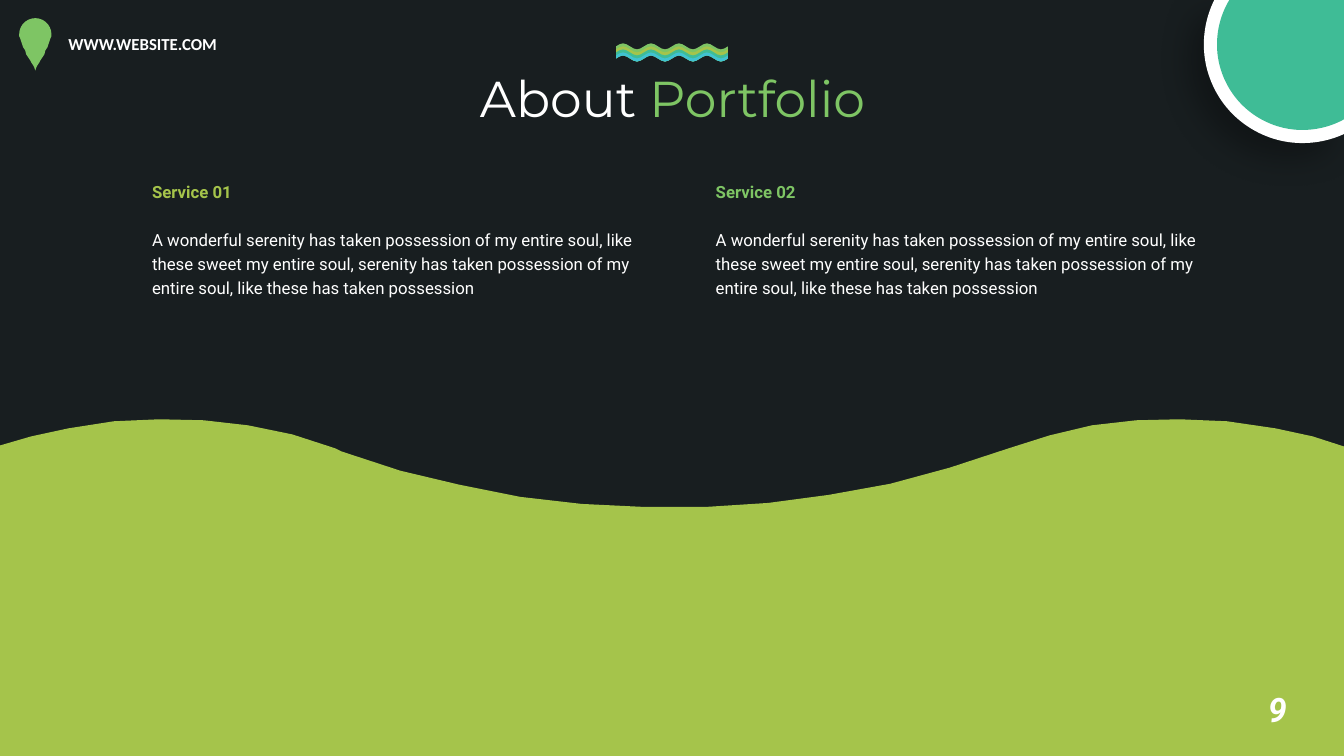
from math import acos, asin, cos, pi, sin

from lxml import etree
from pptx import Presentation
from pptx.dml.color import RGBColor
from pptx.enum.text import MSO_AUTO_SIZE as AutoSize, PP_ALIGN as Align
from pptx.oxml.ns import qn
from pptx.util import Inches, Pt

WIDTH, HEIGHT = 13.33, 7.5
COLORS = {
    "dark": "181E20",
    "lime": "A5C44B",
    "green": "7EC564",
    "teal": "3FBC96",
    "cyan": "40C2D2",
    "white": "FFFFFF",
    "black": "000000",
}
HILLS = [
    (0, 4.42), (0.31, 4.33), (0.68, 4.25), (1.13, 4.18), (1.58, 4.16),
    (2.02, 4.17), (2.46, 4.22), (2.9, 4.31), (3.33, 4.45), (3.39, 4.48),
    (3.97, 4.67), (4.56, 4.81), (5.16, 4.93), (5.77, 5), (6.39, 5.03),
    (7, 5.03), (7.62, 4.99), (8.22, 4.91), (8.83, 4.8), (9.42, 4.64),
    (10, 4.45), (10.41, 4.32), (10.83, 4.22), (11.27, 4.17), (11.7, 4.16),
    (12.17, 4.18), (12.65, 4.25), (13.02, 4.33), (WIDTH, 4.43),
]
PIN_SIDE = [
    (0.16, 0.36), (0.15, 0.38), (0.14, 0.41), (0.13, 0.44), (0.12, 0.47),
    (0.1, 0.5), (0.09, 0.54), (0.07, 0.57), (0.05, 0.6), (0.04, 0.62),
    (0.02, 0.65), (0.01, 0.67), (0, 0.7),
]
SERVICE_TEXT = (
    "A wonderful serenity has taken possession of my entire soul, like these "
    "sweet my entire soul, serenity has taken possession of my entire soul, "
    "like these has taken possession"
)


def rgb(color):
    return RGBColor.from_string(COLORS[color])


def curve_through(locate, slope, stops):
    nodes = [locate(stops[0])]
    for start, end in zip(stops, stops[1:]):
        third = (end - start) / 3
        (x1, y1), (x2, y2) = locate(start), locate(end)
        (dx1, dy1), (dx2, dy2) = slope(start), slope(end)
        nodes.append((
            x1 + dx1 * third, y1 + dy1 * third,
            x2 - dx2 * third, y2 - dy2 * third, x2, y2,
        ))
    return nodes


def bend_lines(outline, nodes):
    lines = list(outline._element.iter(qn("a:lnTo")))
    for line, node in zip(lines, nodes[1:]):
        if len(node) == 6:
            bend = etree.Element(qn("a:cubicBezTo"))
            for x, y in zip(node[::2], node[1::2]):
                etree.SubElement(
                    bend, qn("a:pt"),
                    x=str(Inches(x) - outline.left), y=str(Inches(y) - outline.top),
                )
            line.getparent().replace(line, bend)


def add_outline(shapes, nodes, color):
    first, *rest = [(Inches(node[-2]), Inches(node[-1])) for node in nodes]
    builder = shapes.build_freeform(*first)
    builder.add_line_segments(rest, close=True)
    outline = builder.convert_to_shape()
    bend_lines(outline, nodes)
    outline.shadow.inherit = False
    outline.fill.solid()
    outline.fill.fore_color.rgb = rgb(color)
    outline.line.fill.background()
    return outline


def add_shadow(shape, color, alpha, blur, distance, angle):
    effects = shape._element.spPr.find(qn("a:effectLst"))
    shadow = etree.SubElement(
        effects, qn("a:outerShdw"), blurRad=str(Pt(blur)), dist=str(Pt(distance)),
        dir=str(angle * 60000), algn="ctr", rotWithShape="0",
    )
    tint = etree.SubElement(shadow, qn("a:srgbClr"), val=COLORS[color])
    etree.SubElement(tint, qn("a:alpha"), val=str(alpha * 1000))


def add_text(page, area, paragraphs, wrap=True, **layout):
    box = page.shapes.add_textbox(*map(Inches, area))
    box.text_frame.word_wrap = wrap
    box.text_frame.auto_size = AutoSize.SHAPE_TO_FIT_TEXT
    for index, spans in enumerate(paragraphs):
        para = box.text_frame.paragraphs[0] if index == 0 else box.text_frame.add_paragraph()
        for name, value in layout.items():
            if name != "space_before" or index:
                setattr(para, name, value)
        for text, color, formats in spans:
            span = para.add_run()
            span.text = text
            span.font.color.rgb = rgb(color)
            for name, value in formats.items():
                setattr(span.font, name, value)


def add_pin(page, center=0.35, middle=0.34, radius=0.16, steps=14):
    angles = [pi * step / steps for step in range(steps + 1)]
    dome = [(center - radius * cos(a), middle - radius * sin(a)) for a in angles]
    right = [(center + dx, y) for dx, y in PIN_SIDE]
    left = [(center - dx, y) for dx, y in reversed(PIN_SIDE[:-1])]
    add_outline(page.shapes, dome + right + left, "green")


def corner_disc(radius, center_x=12.92, center_y=0.44, steps=4):
    start = acos((WIDTH - center_x) / radius)
    end = pi + asin(center_y / radius)
    arc = curve_through(
        lambda a: (center_x + radius * cos(a), center_y + radius * sin(a)),
        lambda a: (-radius * sin(a), radius * cos(a)),
        [start + (end - start) * step / steps for step in range(steps + 1)],
    )
    return arc + [(WIDTH, 0)]


def add_corner_badge(page):
    badge = page.shapes.add_group_shape()
    ring = add_outline(badge.shapes, corner_disc(0.98), "white")
    add_shadow(ring, "black", alpha=29, blur=23, distance=15, angle=135)
    add_outline(badge.shapes, corner_disc(0.85), "teal")


def ripple(level, backward=False, left=6.11, width=1.11, waves=4, height=0.03):
    turn = 2 * pi
    stops = [0] + [0.25 + half / 2 for half in range(2 * waves)] + [waves]
    return curve_through(
        lambda t: (left + width * t / waves, level - height * sin(turn * t)),
        lambda t: (width / waves, -height * turn * cos(turn * t)),
        stops[::-1] if backward else stops,
    )


def add_ripples(page):
    group = page.shapes.add_group_shape()
    bottom = ripple(0.58, backward=True)
    for index, color in enumerate(("green", "lime", "teal", "cyan")):
        add_outline(group.shapes, ripple(0.46 + 0.03 * index) + bottom, color)


def add_service(page, left, title, color):
    body = {"name": "Roboto", "size": Pt(12)}
    add_text(
        page, (left, 1.71, 5.28, 1.29),
        [[(title, color, {**body, "bold": True})], [(SERVICE_TEXT, "white", body)]],
        line_spacing=1.2, space_before=Pt(17),
    )


def main():
    deck = Presentation()
    deck.slide_width, deck.slide_height = Inches(WIDTH), Inches(HEIGHT)
    page = deck.slides.add_slide(deck.slide_layouts[6])
    page.background.fill.solid()
    page.background.fill.fore_color.rgb = rgb("dark")

    add_outline(page.shapes, HILLS + [(WIDTH, HEIGHT), (0, HEIGHT)], "lime")
    number = {"name": "Roboto", "size": Pt(24), "bold": True, "italic": True}
    add_text(page, (12.48, 6.79, 0.4, 0.5), [[("9", "white", number)]], wrap=False)
    add_pin(page)
    address = {"name": "Calibri", "size": Pt(12), "bold": True}
    add_text(page, (0.58, 0.29, 2.53, 0.3), [[("WWW.WEBSITE.COM", "white", address)]])
    add_corner_badge(page)
    title = {"name": "Montserrat", "size": Pt(36)}
    add_text(
        page, (4.49, 0.62, 4.36, 0.71),
        [[("About ", "white", title), ("Portfolio", "green", title)]],
        wrap=False, alignment=Align.CENTER,
    )
    add_ripples(page)
    add_service(page, 1.41, "Service 01", "lime")
    add_service(page, 7, "Service 02", "green")
    deck.save("out.pptx")


if __name__ == "__main__":
    main()
